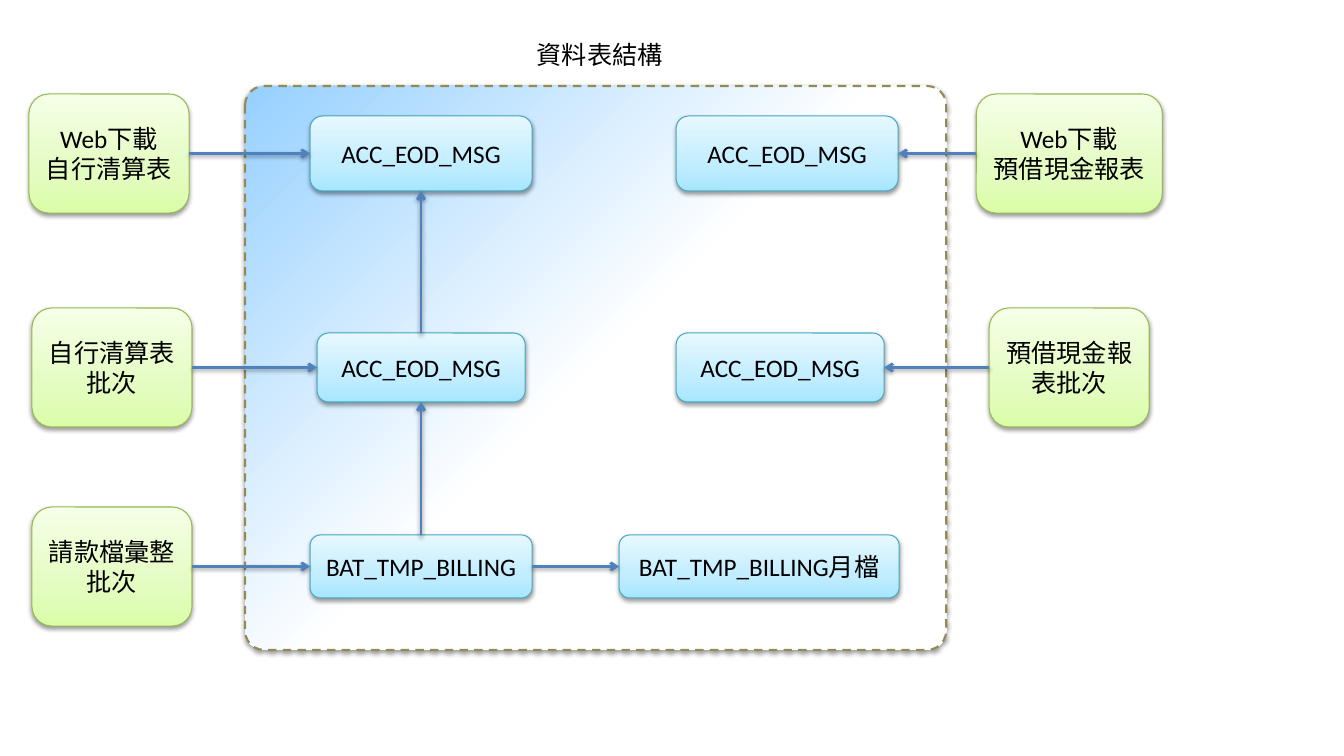
from lxml.etree import SubElement
from pptx import Presentation
from pptx.dml.color import RGBColor
from pptx.enum.dml import MSO_LINE
from pptx.enum.shapes import MSO_CONNECTOR, MSO_SHAPE
from pptx.enum.text import MSO_ANCHOR, MSO_AUTO_SIZE, PP_ALIGN
from pptx.oxml.ns import qn
from pptx.util import Emu, Inches, Pt

ROUNDED = MSO_SHAPE.ROUNDED_RECTANGLE
STRAIGHT = MSO_CONNECTOR.STRAIGHT
DASH = MSO_LINE.DASH
CENTER = PP_ALIGN.CENTER
TOP_ANCHOR, MIDDLE_ANCHOR = MSO_ANCHOR.TOP, MSO_ANCHOR.MIDDLE
FIT_SHAPE = MSO_AUTO_SIZE.SHAPE_TO_FIT_TEXT
TOP, LEFT, BOTTOM, RIGHT = range(4)
PIXELS_PER_INCH = 100.8


def emu(pixels):
    return Emu(round(pixels * 914400 / PIXELS_PER_INCH))


def color(value):
    return RGBColor.from_string(value)


def write_text(frame, text, size=18, font="Calibri", fill="000000",
               anchor=MIDDLE_ANCHOR, wrap=True):
    frame.word_wrap = wrap
    frame.vertical_anchor = anchor
    frame.text = text
    for paragraph in frame.paragraphs:
        paragraph.alignment = CENTER
        paragraph.font.size = Pt(size)
        paragraph.font.name = font
        paragraph.font.color.rgb = color(fill)


class TableDiagram:
    """Holds the diagram style and the slide being drawn."""

    GREEN = ([(0, "DAFDA7"), (35, "E4FCC2"), (100, "F5FFE7")], "98B955")
    BLUE = ([(0, "A7E6FF"), (35, "C1EDFF"), (100, "E7F8FF")], "46AAC5")
    AREA = ([(0, "96D0FF"), (50, "FFFFFF")], "948A54")
    ARROW = "4F81BD"

    def __init__(self, slide):
        self.slide = slide

    def title(self, text, left, top, width, height):
        title = self.slide.shapes.title
        title.left, title.top = emu(left), emu(top)
        title.width, title.height = emu(width), emu(height)
        write_text(title.text_frame, text, anchor=TOP_ANCHOR, wrap=False)
        title.text_frame.auto_size = FIT_SHAPE

    def shadow(self, effects):
        shadow = SubElement(effects, qn("a:outerShdw"), blurRad="40000", dist="20000",
                            dir="5400000", rotWithShape="0")
        black = SubElement(shadow, qn("a:srgbClr"), val="000000")
        SubElement(black, qn("a:alpha"), val="38000")

    def gradient(self, shape, stops, angle):
        shape.fill.gradient()
        shape.fill.gradient_angle = angle
        properties = shape._element.spPr
        stop_list = properties.find(qn("a:gradFill")).find(qn("a:gsLst"))
        for stop in list(stop_list):
            stop_list.remove(stop)
        for position, value in stops:
            stop = SubElement(stop_list, qn("a:gs"), pos=str(position * 1000))
            SubElement(stop, qn("a:srgbClr"), val=value)

    def box(self, style, left, top, width, height, text="", angle=90, line_width=0.75):
        stops, line_color = style
        shape = self.slide.shapes.add_shape(
            ROUNDED, emu(left), emu(top), emu(width), emu(height))
        self.gradient(shape, stops, angle)
        shape.line.color.rgb = color(line_color)
        shape.line.width = Pt(line_width)
        shape.shadow.inherit = False
        self.shadow(shape._element.spPr.find(qn("a:effectLst")))
        if text:
            write_text(shape.text_frame, text)
        return shape

    def area(self, left, top, width, height):
        area = self.box(self.AREA, left, top, width, height, angle=315, line_width=1.5)
        area.adjustments[0] = 0.034
        area.line.dash_style = DASH

    def arrow(self, source, source_side, target, target_side):
        connector = self.slide.shapes.add_connector(STRAIGHT, 0, 0, 0, 0)
        connector.begin_connect(source, source_side)
        connector.end_connect(target, target_side)
        connector.line.color.rgb = color(self.ARROW)
        connector.line.width = Pt(2)
        SubElement(connector.line._get_or_add_ln(), qn("a:tailEnd"), type="arrow")
        self.shadow(SubElement(connector._element.spPr, qn("a:effectLst")))


presentation = Presentation()
presentation.slide_width, presentation.slide_height = Inches(13.33), Inches(7.5)
diagram = TableDiagram(presentation.slides.add_slide(presentation.slide_layouts[5]))

diagram.title("資料表結構", 526, 34, 147, 40)
diagram.area(245, 86, 701, 564)

jobs = {
    name: diagram.box(diagram.GREEN, left, top, width, 119, text)
    for name, left, top, width, text in [
        ("clearing download", 29, 94, 160, "Web下載\n自行清算表"),
        ("clearing batch", 32, 308, 160, "自行清算表\n批次"),
        ("billing batch", 32, 507, 160, "請款檔彙整\n批次"),
        ("advance download", 976, 94, 186, "Web下載\n預借現金報表"),
        ("advance batch", 989, 308, 160, "預借現金報表批次"),
    ]
}
tables = {
    name: diagram.box(diagram.BLUE, left, top, width, height, text)
    for name, left, top, width, height, text in [
        ("clearing download", 310, 116, 222, 75, "ACC_EOD_MSG"),
        ("clearing batch", 317, 333, 208, 69, "ACC_EOD_MSG"),
        ("billing batch", 310, 535, 222, 63, "BAT_TMP_BILLING"),
        ("advance download", 676, 116, 222, 75, "ACC_EOD_MSG"),
        ("advance batch", 676, 333, 208, 69, "ACC_EOD_MSG"),
        ("billing month", 619, 535, 280, 63, "BAT_TMP_BILLING月檔"),
    ]
}

for name, job in jobs.items():
    table = tables[name]
    sides = (RIGHT, LEFT) if job.left < table.left else (LEFT, RIGHT)
    diagram.arrow(job, sides[0], table, sides[1])
diagram.arrow(tables["billing batch"], TOP, tables["clearing batch"], BOTTOM)
diagram.arrow(tables["clearing batch"], TOP, tables["clearing download"], BOTTOM)
diagram.arrow(tables["billing batch"], RIGHT, tables["billing month"], LEFT)

presentation.save("out.pptx")
